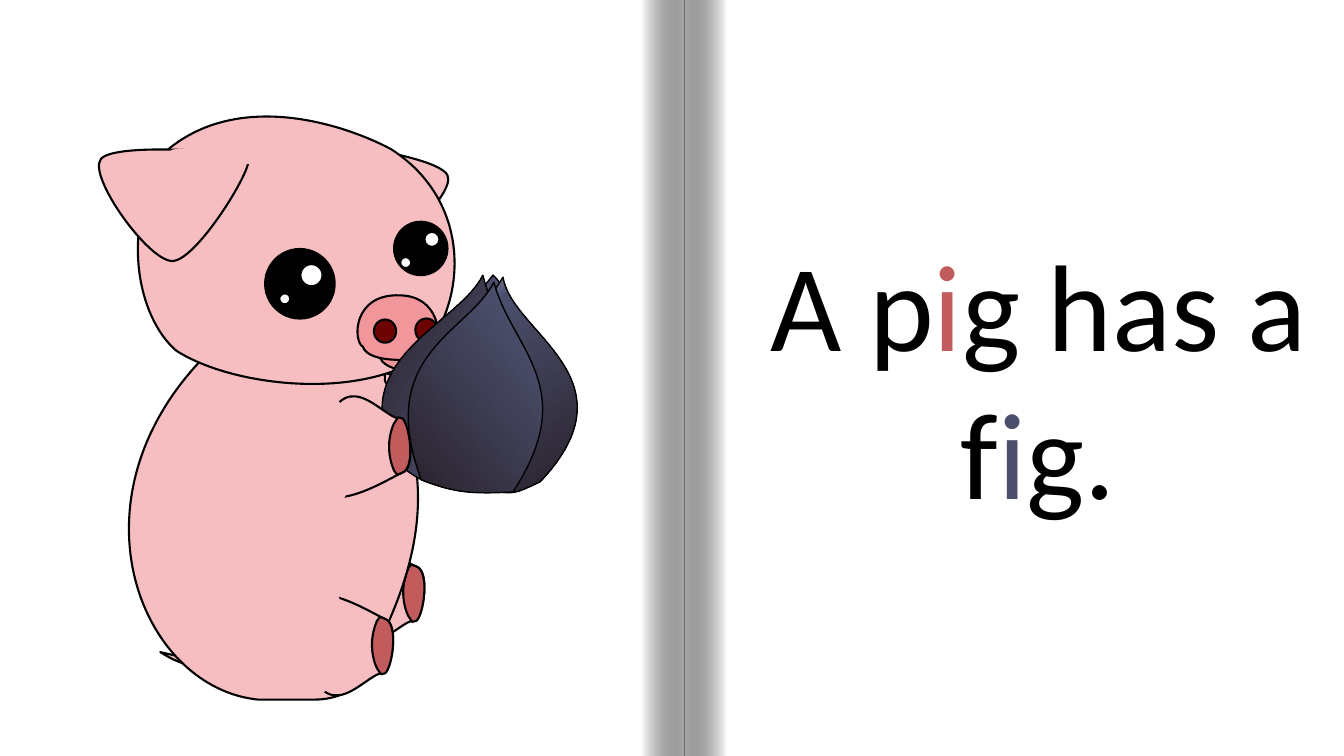
import dataclasses
import lxml.etree
import pptx
import pptx.dml.color
import pptx.enum.shapes
import pptx.enum.text
import pptx.oxml.ns
import pptx.util

Pt = pptx.util.Pt
qn = pptx.oxml.ns.qn
SubElement = lxml.etree.SubElement
SHAPES = pptx.enum.shapes.MSO_SHAPE


@dataclasses.dataclass(frozen=True)
class Theme:
    font: str = "Calibri"
    caption_size: int = 88
    ink: str = "000000"
    paper: str = "FFFFFF"
    skin: str = "F6BEC1"
    snout: str = "F1969B"
    nostril: str = "6D0303"
    hoof: str = "C25B5C"
    fig: str = "4B4F6C"
    fig_stops: tuple = ((0, "9FA0C7", 100), (17, "4B4F6C", 100), (100, "2A222D", 100))
    spine_stops: tuple = ((0, "FFFFFF", 100), (100, "000000", 34))
    pig_line: float = 1.5
    fig_line: float = 1


@dataclasses.dataclass(frozen=True)
class Box:
    """A region in points, with a drawing grid 680 units wide."""
    left: float
    top: float
    width: float
    height: float

    def point(self, x, y):
        unit = self.width / 680
        return Pt(self.left + x * unit), Pt(self.top + y * unit)


THEME = Theme()
# Outlines in grid units: a start point, then curves (six numbers) or lines (two).
TAIL = [(217, 643), (194, 656, 189, 654, 159, 647), (198, 672, 221, 659, 228, 652),
        (253, 632, 241, 617, 230, 602), (220, 597, 200, 599, 195, 606), (187, 611, 186, 641, 214, 657),
        (255, 670, 270, 641, 269, 636), (268, 631, 231, 651, 208, 629),
        (188, 601, 221, 615, 223, 620), (233, 634, 224, 638, 217, 643)]
LIMB = [(413, 562), (400, 557, 308, 496, 331, 589), (354, 681, 392, 615, 413, 615),
        (420, 611, 427, 566, 413, 562)]
HOOF = [(400, 588), (400, 596, 402, 605, 405, 611), (409, 617), (413, 616),
        (420, 611, 427, 567, 413, 562), (408, 560), (405, 564), (402, 571, 400, 579, 400, 588)]
BODY = [(256, 309), (48, 454, 127, 681, 256, 694), (313, 694), (351, 694, 382, 663, 382, 625),
        (414, 555, 436, 469, 382, 378), (382, 340, 351, 309, 313, 309)]
FAR_EAR = [(444, 174), (435, 154, 308, 137, 301, 144), (294, 150, 330, 253, 354, 258),
           (378, 263, 453, 193, 444, 174)]
HEAD = [(388, 369), (453, 349, 489, 213, 388, 148), (343, 124, 239, 89, 167, 148),
        (116, 225, 137, 316, 175, 348), (222, 378, 319, 393, 388, 369)]
SNOUT = [(397, 293), (350, 291, 350, 338, 360, 344), (366, 362, 419, 358, 426, 352),
         (439, 353, 444, 294, 397, 293)]
NEAR_EAR = [(100, 158), (112, 141, 240, 150, 246, 158), (252, 166, 195, 259, 171, 259),
            (147, 259, 87, 175, 100, 158)]
EAR_FOLD = [(175, 148), (196, 147, 259, 151, 262, 159), (265, 161, 218, 167, 204, 165),
            (189, 163, 155, 149, 175, 148)]
FIG_PANELS = [  # gradient angle, outline
    (158, [(449, 475), (493, 492, 452, 484, 483, 476), (543, 383, 507, 286, 489, 273),
           (451, 322, 417, 355, 449, 475)]),
    (210, [(466, 484), (424, 484, 414, 474, 398, 463), (333, 358, 454, 324, 479, 273),
           (497, 340, 534, 380, 466, 484)]),
    (58, [(464, 478), (508, 494, 508, 491, 536, 478), (633, 375, 508, 331, 499, 275),
          (462, 334, 432, 358, 464, 478)]),
    (140, [(509, 488), (463, 491, 446, 487, 418, 476), (371, 351, 465, 330, 490, 280),
           (508, 347, 577, 384, 509, 488)])]


def rgb(color):
    return pptx.dml.color.RGBColor.from_string(color)


def paint(shape, fill, line):
    shape.shadow.inherit = False
    shape.fill.solid()
    shape.fill.fore_color.rgb = rgb(fill)
    if line:
        shape.line.color.rgb = rgb(THEME.ink)
        shape.line.width = Pt(line)
    else:
        shape.line.fill.background()


def paint_gradient(shape, stops, clockwise_angle):
    """Stops are (position, colour, opacity), in percent."""
    shape.fill.gradient()
    shape.fill.gradient_angle = (360 - clockwise_angle) % 360
    stop_list = shape._element.spPr.find(".//" + qn("a:gsLst"))
    for stop in list(stop_list):
        stop_list.remove(stop)
    for position, color, opacity in stops:
        stop = SubElement(stop_list, qn("a:gs"), pos=str(position * 1000))
        value = SubElement(stop, qn("a:srgbClr"), val=color)
        if opacity < 100:
            SubElement(value, qn("a:alpha"), val=str(opacity * 1000))


def curve_point(controls, t):
    weights = ((1 - t) ** 3, 3 * t * (1 - t) ** 2, 3 * t * t * (1 - t), t ** 3)
    return tuple(round(sum(w * c for w, c in zip(weights, axis))) for axis in zip(*controls))


def add_outline(slide, box, outline, fill, line=THEME.pig_line, move=(0, 0), flip=1):
    """Size a freeform by points along its curves, then give it the curves themselves."""
    segments = [[box.point(x + move[0], flip * y + move[1])
                 for x, y in zip(numbers[::2], numbers[1::2])] for numbers in outline]
    points = [segments[0][0]]
    for segment in segments[1:]:
        controls = [points[-1], *segment]
        points += segment if len(segment) == 1 else [
            curve_point(controls, step / 20) for step in range(1, 21)]
    builder = slide.shapes.build_freeform(*points[0], scale=1.0)
    builder.add_line_segments(points[1:], close=True)
    shape = builder.convert_to_shape()
    geometry = shape._element.spPr.find(".//" + qn("a:path"))
    for element in list(geometry)[1:]:
        geometry.remove(element)
    for segment in segments[1:]:
        tag = "a:lnTo" if len(segment) == 1 else "a:cubicBezTo"
        element = SubElement(geometry, qn(tag))
        for x, y in segment:
            SubElement(element, qn("a:pt"), x=str(x - shape.left), y=str(y - shape.top))
    SubElement(geometry, qn("a:close"))
    paint(shape, fill, line)
    return shape


def add_oval(slide, box, left, top, width, height, fill, line=THEME.pig_line):
    start, end = box.point(left, top), box.point(left + width, top + height)
    shape = slide.shapes.add_shape(SHAPES.OVAL, *start, end[0] - start[0], end[1] - start[1])
    paint(shape, fill, line)


def draw_book(slide, box):
    """White spread with a shaded spine to the right of the picture page."""
    spine, shade = box.left + 488.8, 30.4
    for left, width, angle in ((box.left, box.width, None), (spine, shade, 180),
                               (spine - shade, shade, 0)):
        shape = slide.shapes.add_shape(
            SHAPES.RECTANGLE, Pt(left), Pt(box.top), Pt(width), Pt(box.height))
        paint(shape, THEME.paper, 0)
        if angle is not None:
            paint_gradient(shape, THEME.spine_stops, angle)


def draw_caption(slide, box):
    frame = slide.shapes.add_textbox(*map(Pt, dataclasses.astuple(box))).text_frame
    frame.word_wrap = True
    frame.auto_size = pptx.enum.text.MSO_AUTO_SIZE.SHAPE_TO_FIT_TEXT
    paragraph = frame.paragraphs[0]
    paragraph.alignment = pptx.enum.text.PP_ALIGN.CENTER
    paragraph.font.name = THEME.font
    paragraph.font.size = Pt(THEME.caption_size)
    for text, color in (("A p", THEME.ink), ("i", THEME.hoof), ("g has a f", THEME.ink),
                        ("i", THEME.fig), ("g.", THEME.ink)):
        run = paragraph.add_run()
        run.text = text
        run.font.color.rgb = rgb(color)


def draw_limb(slide, box, move=(0, 0), flip=1):
    for outline, fill in ((LIMB, THEME.skin), (HOOF, THEME.hoof)):
        add_outline(slide, box, outline, fill, move=move, flip=flip)


def draw_pig(slide, box):
    add_outline(slide, box, TAIL, THEME.skin)
    draw_limb(slide, box)
    draw_limb(slide, box, (10, -173))
    add_outline(slide, box, BODY, THEME.skin)
    draw_limb(slide, box, (-31, 52))
    add_oval(slide, box, 289.5, 564.5, 51, 124, THEME.skin, 0)
    add_outline(slide, box, FAR_EAR, THEME.skin)
    add_outline(slide, box, HEAD, THEME.skin)
    add_oval(slide, box, 376, 334, 53, 33, THEME.snout)
    add_outline(slide, box, SNOUT, THEME.snout)
    for left, top in ((412, 316), (371, 317)):
        add_oval(slide, box, left, top, 22, 23, THEME.nostril)
    for left, top, size, fill in (
            (263, 247, 69, THEME.ink), (298, 262, 22, THEME.paper), (277, 291, 11, THEME.paper),
            (391, 220, 53, THEME.ink), (421, 230, 15, THEME.paper), (397, 255, 11, THEME.paper)):
        add_oval(slide, box, left, top, size, size, fill)
    add_oval(slide, box, 328, 154, 37, 54, THEME.skin, 0)
    add_outline(slide, box, NEAR_EAR, THEME.skin)
    add_outline(slide, box, EAR_FOLD, THEME.skin, 0)


def draw_held_fig(slide, box):
    for angle, outline in FIG_PANELS:
        panel = add_outline(slide, box, outline, THEME.fig, THEME.fig_line)
        paint_gradient(panel, THEME.fig_stops, angle)
    draw_limb(slide, box, (-14, 1031), flip=-1)
    add_oval(slide, box, 300.5, 393.5, 51, 112, THEME.skin, 0)


presentation = pptx.Presentation()
presentation.slide_width, presentation.slide_height = Pt(960), Pt(540)
slide = presentation.slides.add_slide(presentation.slide_layouts[6])
slide.background.fill.solid()
slide.background.fill.fore_color.rgb = rgb(THEME.ink)
draw_book(slide, Box(0, 0, 960, 540))
draw_caption(slide, Box(515.5, 159.8, 452.2, 220.3))
picture_page = Box(0, 0, 489.6, 540)
draw_pig(slide, picture_page)
draw_held_fig(slide, picture_page)
presentation.save("out.pptx")
